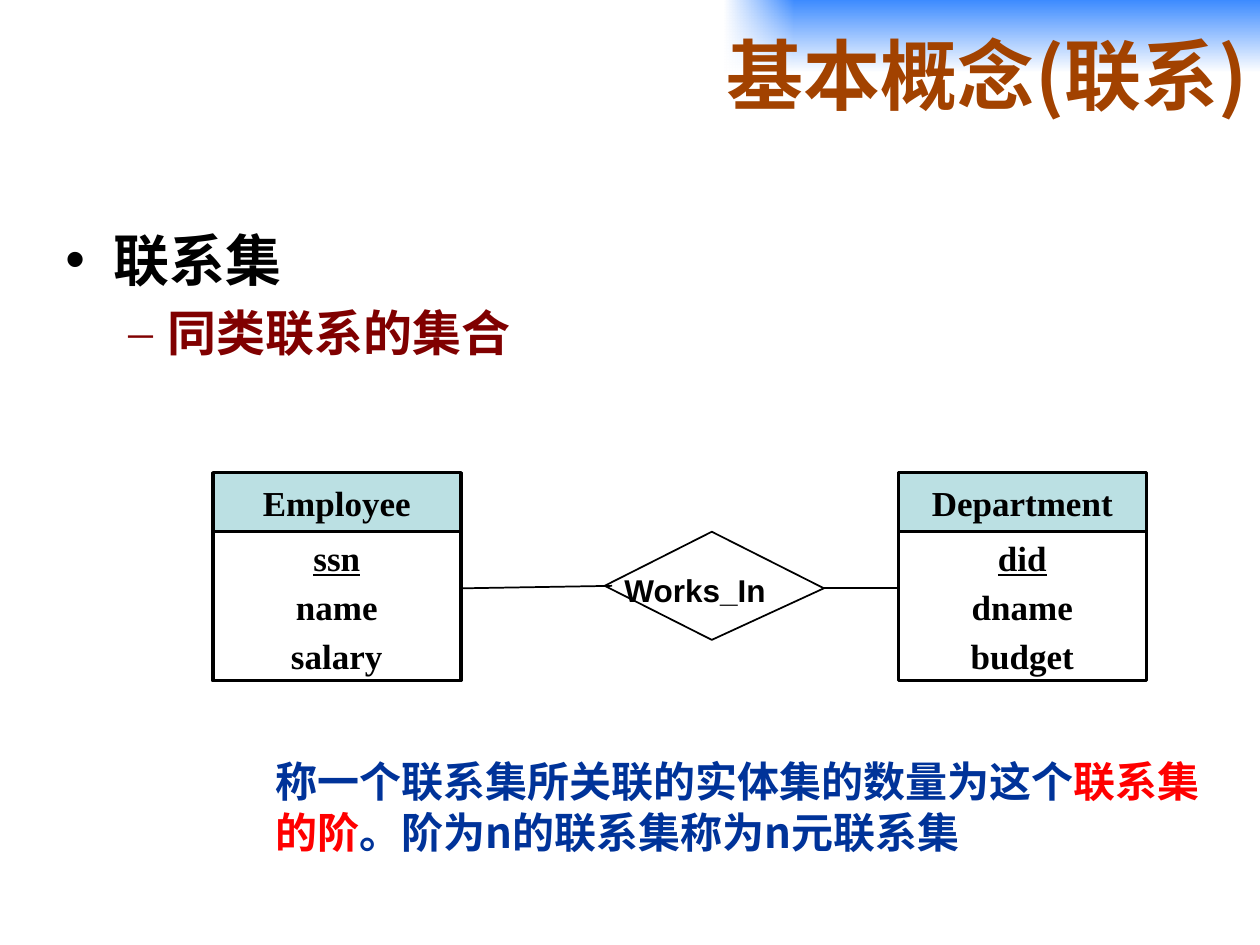
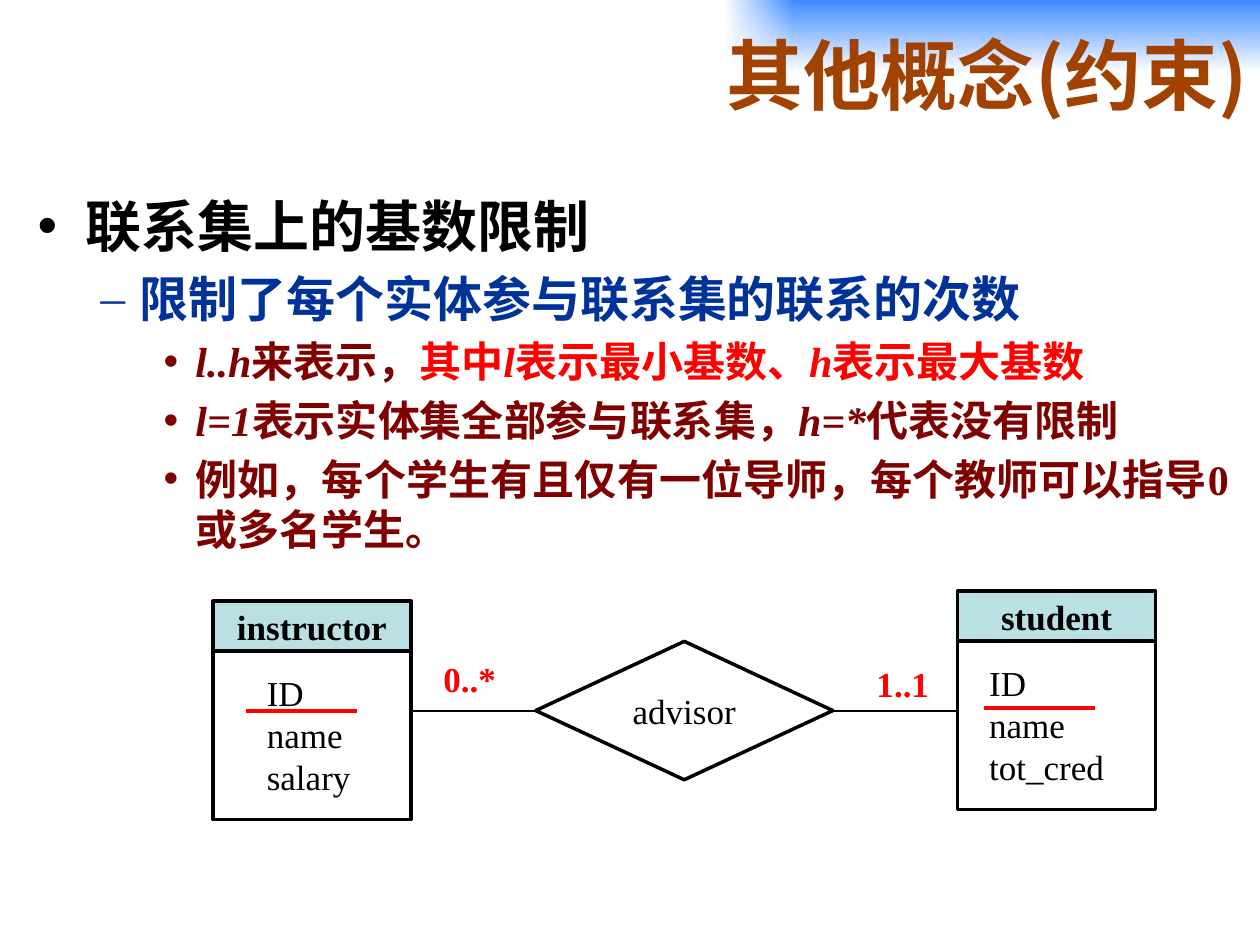
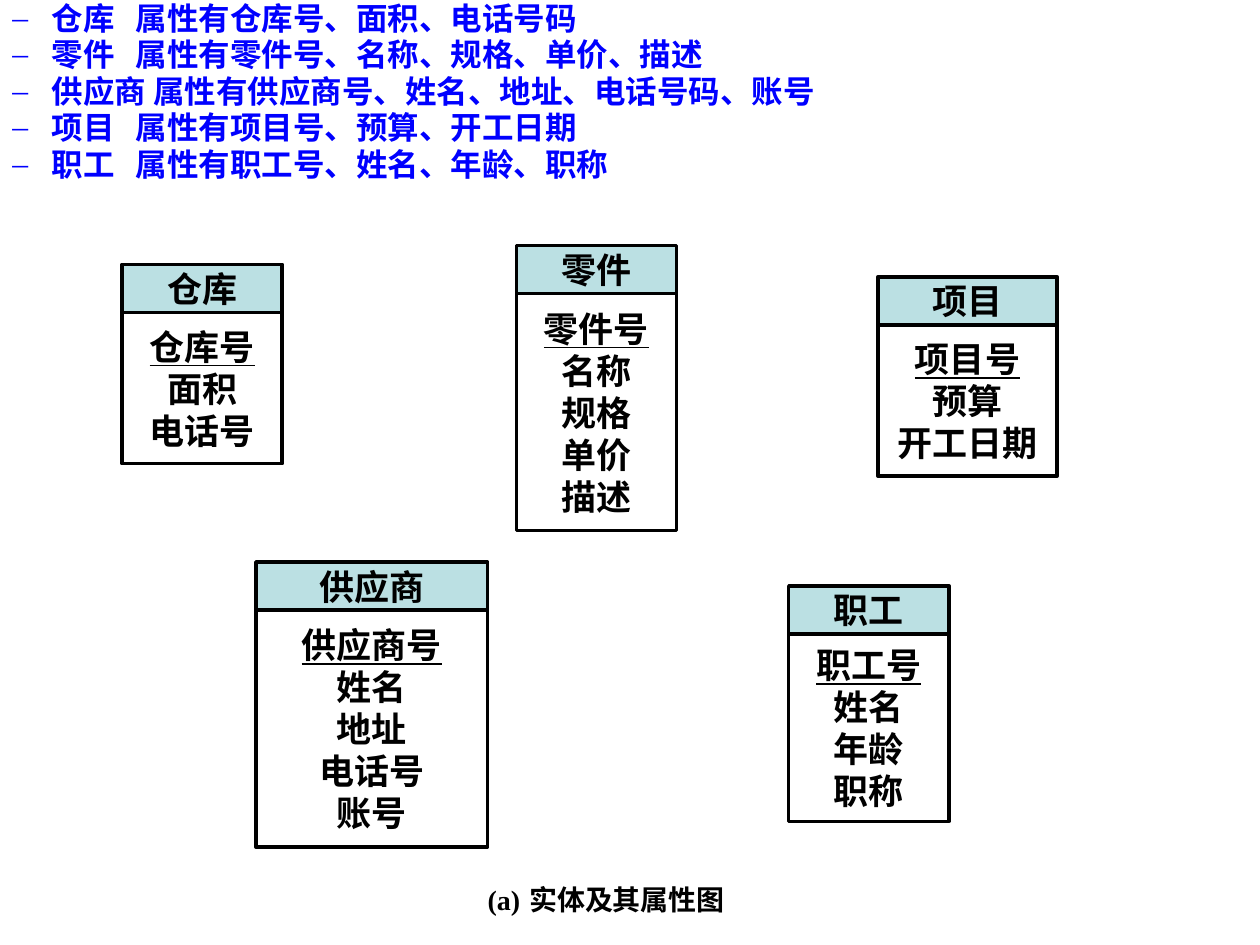
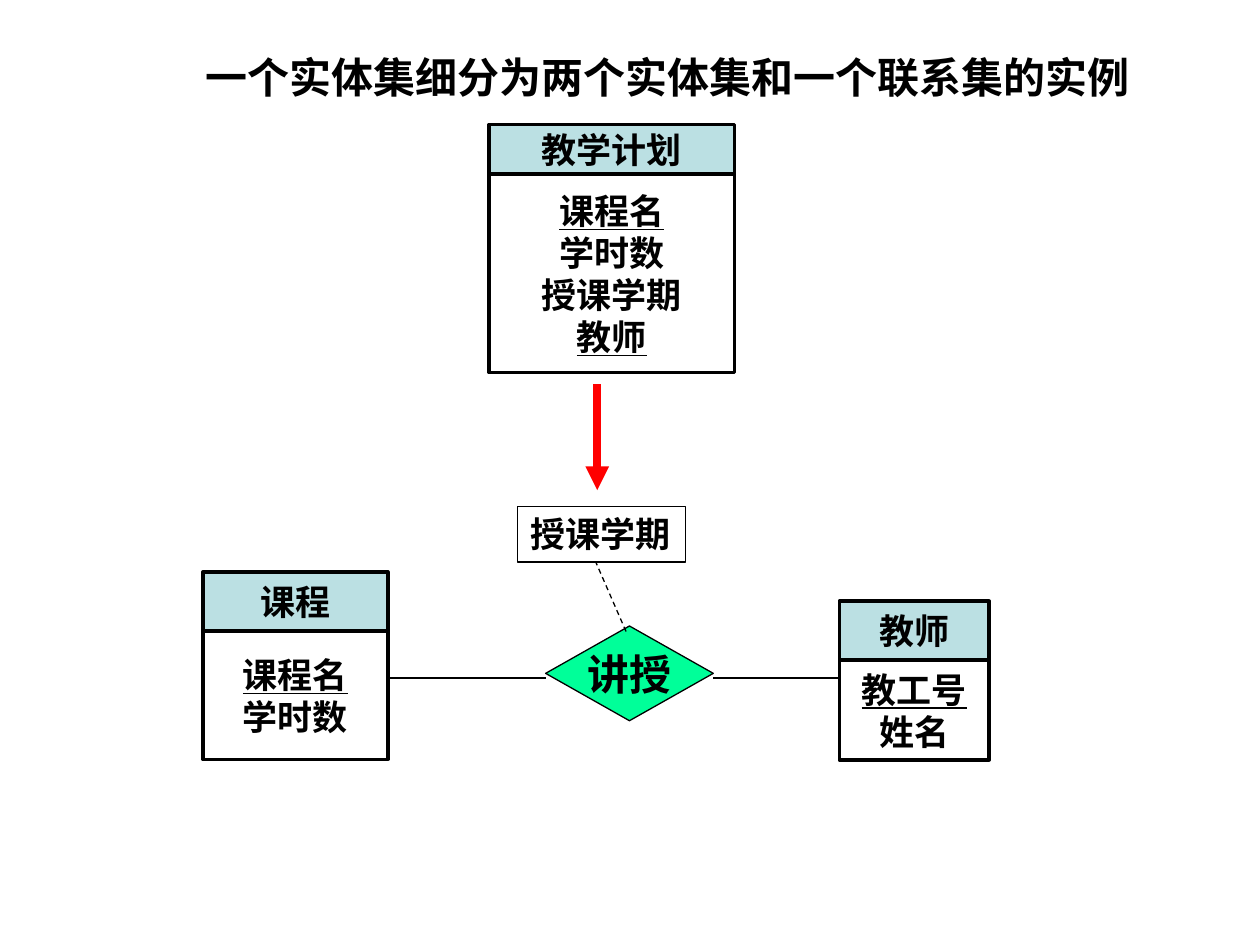
from dataclasses import dataclass, replace
from typing import Optional

from lxml import etree
from pptx import Presentation
from pptx.dml.color import RGBColor
from pptx.enum.dml import MSO_LINE
from pptx.enum.shapes import MSO_CONNECTOR, MSO_SHAPE
from pptx.enum.text import MSO_ANCHOR, PP_ALIGN
from pptx.oxml.ns import qn
from pptx.util import Cm, Pt

RECTANGLE = MSO_SHAPE.RECTANGLE
DECISION = MSO_SHAPE.FLOWCHART_DECISION
STRAIGHT = MSO_CONNECTOR.STRAIGHT
DASH = MSO_LINE.DASH
LEFT, CENTER = PP_ALIGN.LEFT, PP_ALIGN.CENTER
RIGHT, JUSTIFY = PP_ALIGN.RIGHT, PP_ALIGN.JUSTIFY
TOP, MIDDLE = MSO_ANCHOR.TOP, MSO_ANCHOR.MIDDLE


# Theme: colours, fonts, sizes and line widths
@dataclass(frozen=True)
class Theme:
    black: str = "000000"
    white: str = "FFFFFF"
    brown: str = "A24200"
    maroon: str = "800000"
    navy: str = "003399"
    blue: str = "0000FF"
    red: str = "FF0000"
    header: str = "BBE0E3"
    green: str = "00FF99"
    band: str = "3D8BFF"
    serif: str = "Times New Roman"
    sans: str = "Arial"
    lato: str = "Lato"
    chinese: str = "Noto Sans CJK SC"
    body: str = "Noto Sans CJK JP"
    title_size: int = 44
    topic_size: int = 32
    point_size: int = 28
    detail_size: int = 24
    entity_size: int = 20
    list_size: int = 18
    caption_size: int = 16
    pitch: float = 1.2
    before: float = 0.2
    thin: float = 0.75
    medium: float = 1
    frame: float = 2
    mark: float = 2.25
    arrow: float = 4.5


THEME = Theme()


@dataclass(frozen=True)
class Style:
    size: int
    color: str = THEME.black
    latin: str = THEME.serif
    asian: str = THEME.chinese
    bold: bool = True


@dataclass(frozen=True)
class Bullet:
    mark: str
    font: str
    margin: float
    hang: float


@dataclass(frozen=True)
class Span:
    text: str
    color: Optional[str] = None
    italic: bool = False
    underline: bool = False
    spacing: float = 0


@dataclass(frozen=True)
class Para:
    content: str | tuple[Span, ...]
    style: Style
    align: PP_ALIGN = LEFT
    bullet: Optional[Bullet] = None
    before: float = 0
    tight: float = 1


@dataclass(frozen=True)
class Box:
    left: float
    top: float
    width: float
    height: float


@dataclass(frozen=True)
class Entity:
    name: str
    left: float
    top: float
    width: float
    head: float
    body: float
    attributes: tuple[str, ...] = ()
    keys: tuple[str, ...] = ()
    before: float = 0


@dataclass(frozen=True)
class Link:
    start: tuple[float, float]
    end: tuple[float, float]
    width: float = THEME.thin
    color: str = THEME.black
    dashed: bool = False
    arrow: bool = False


TITLE = Style(THEME.title_size, THEME.brown, THEME.chinese)
TOPIC = Style(THEME.topic_size, latin=THEME.body, asian=THEME.body)
POINT = replace(TOPIC, size=THEME.point_size)
DETAIL = Style(THEME.detail_size, THEME.maroon, asian=THEME.body)
NOTE = Style(THEME.detail_size, THEME.navy, THEME.body, THEME.body)
ENTITY = Style(THEME.entity_size)
PLAIN = replace(ENTITY, bold=False)
CARDINALITY = replace(ENTITY, color=THEME.red)
LISTING = Style(THEME.list_size, THEME.blue, THEME.body, THEME.body)
CAPTION = Style(THEME.caption_size)

DOT = Bullet("•", THEME.sans, 0.97, 0.97)
LONG_DASH = Bullet("–", THEME.serif, 2.06, 0.79)
SMALL_DOT = Bullet("•", THEME.sans, 3.18, 0.64)
LIST_DASH = Bullet("–", THEME.serif, 0.79, 0.79)


# Text
def rgb(color: str) -> RGBColor:
    return RGBColor.from_string(color)


def add_bullet(paragraph, bullet: Bullet) -> None:
    properties = paragraph._p.get_or_add_pPr()
    properties.set("marL", str(Cm(bullet.margin)))
    properties.set("indent", str(-Cm(bullet.hang)))
    etree.SubElement(properties, qn("a:buFont"), typeface=bullet.font)
    etree.SubElement(properties, qn("a:buChar"), char=bullet.mark)


def set_font(font, style: Style) -> None:
    font.size = Pt(style.size)
    font.bold = style.bold
    font.color.rgb = rgb(style.color)
    font.name = style.latin
    etree.SubElement(font._element, qn("a:ea"), typeface=style.asian)


def write(shape, paras: list[Para], anchor=TOP, wrap=True,
          inset: tuple[float, float] = (0.25, 0.13)) -> None:
    frame = shape.text_frame
    frame.word_wrap = wrap
    frame.vertical_anchor = anchor
    frame.margin_left = frame.margin_right = Cm(inset[0])
    frame.margin_top = frame.margin_bottom = Cm(inset[1])
    for index, para in enumerate(paras):
        paragraph = frame.add_paragraph() if index else frame.paragraphs[0]
        paragraph.alignment = para.align
        size = para.style.size
        paragraph.line_spacing = Pt(size * THEME.pitch * para.tight)
        paragraph.space_before = Pt(size * para.before)
        if para.bullet:
            add_bullet(paragraph, para.bullet)
        set_font(paragraph.font, para.style)
        content = para.content
        spans = (Span(content),) if isinstance(content, str) else content
        for span in spans:
            run = paragraph.add_run()
            run.text = span.text
            if span.color:
                run.font.color.rgb = rgb(span.color)
            if span.italic:
                run.font.italic = True
            if span.underline:
                run.font.underline = True
            if span.spacing:
                run.font._element.set("spc", str(int(span.spacing * 100)))


def add_text(page, box: Box, paras: list[Para], **layout):
    shape = page.shapes.add_textbox(
        Cm(box.left), Cm(box.top), Cm(box.width), Cm(box.height))
    write(shape, paras, **layout)
    return shape


# Shapes and lines
def outline(shape, width: float) -> None:
    shape.line.color.rgb = rgb(THEME.black)
    shape.line.width = Pt(width)


def add_box(page, box: Box, fill: str, width: float, kind=RECTANGLE):
    shape = page.shapes.add_shape(
        kind, Cm(box.left), Cm(box.top), Cm(box.width), Cm(box.height))
    shape.shadow.inherit = False
    shape.fill.solid()
    shape.fill.fore_color.rgb = rgb(fill)
    outline(shape, width)
    return shape


def add_decision(page, box: Box, text: str, style: Style, fill: str,
                 width: float) -> None:
    shape = add_box(page, box, fill, width, DECISION)
    write(shape, [Para(text, style, CENTER)], anchor=MIDDLE, wrap=False,
          inset=(0, 0))


def add_entity(page, entity: Entity) -> None:
    def para(text: str) -> Para:
        span = Span(text, underline=text in entity.keys)
        return Para((span,), ENTITY, CENTER, before=entity.before)

    head = Box(entity.left, entity.top, entity.width, entity.head)
    body = Box(entity.left, entity.top + entity.head, entity.width, entity.body)
    for box, fill, texts in ((head, THEME.header, (entity.name,)),
                             (body, THEME.white, entity.attributes)):
        shape = add_box(page, box, fill, THEME.frame)
        write(shape, [para(text) for text in texts], anchor=MIDDLE,
              inset=(0.1, 0.1))


def add_link(page, link: Link) -> None:
    line = page.shapes.add_connector(
        STRAIGHT, *(Cm(value) for value in link.start + link.end))
    line.line.color.rgb = rgb(link.color)
    line.line.width = Pt(link.width)
    if link.dashed:
        line.line.dash_style = DASH
    if link.arrow:
        etree.SubElement(line.line._get_or_add_ln(), qn("a:tailEnd"),
                         type="triangle")
    etree.SubElement(line._element.spPr, qn("a:effectLst"))


def add_gradient(page, box: Box, colors: tuple[str, str], angle: int):
    shape = add_box(page, box, THEME.white, THEME.thin)
    shape.line.fill.background()
    shape.fill.gradient()
    shape.fill.gradient_angle = angle
    for stop, color in zip(shape.fill.gradient_stops, colors):
        stop.color.rgb = rgb(color)
    return shape


# Title with the corner band, shared by the concept slides
def add_title(page, text: str) -> None:
    add_gradient(page, Box(14.6, 0, 10.8, 1.47), (THEME.band, THEME.white), 270)
    fade = add_gradient(page, Box(14.6, 0, 1.4, 1.47),
                        (THEME.white, THEME.white), 0)
    last_color = list(fade._element.iter(qn("a:srgbClr")))[1]
    etree.SubElement(last_color, qn("a:alpha"), val="0")
    add_text(page, Box(3.71, 0, 21.69, 2.97), [Para(text, TITLE, RIGHT)],
             anchor=MIDDLE)


# Slide 1: relationship sets
def build_relationship(page) -> None:
    add_title(page, "基本概念(联系)")
    add_text(page, Box(1.07, 4.42, 21, 4), [
        Para("联系集", TOPIC, bullet=DOT, before=THEME.before),
        Para("同类联系的集合", replace(POINT, color=THEME.maroon),
             bullet=LONG_DASH, before=THEME.before),
    ])

    corners = [(Cm(x), Cm(y)) for x, y in (
        (12.19, 11.81), (14.35, 10.72), (16.61, 11.86), (14.35, 12.9))]
    builder = page.shapes.build_freeform(*corners[0])
    builder.add_line_segments(corners[1:], close=True)
    diamond = builder.convert_to_shape()
    diamond.shadow.inherit = False
    diamond.fill.background()
    outline(diamond, THEME.medium)
    add_text(page, Box(12.34, 11.38, 3.66, 1.02),
             [Para("Works_In", Style(THEME.list_size, latin=THEME.sans))],
             wrap=False)
    add_link(page, Link((12.34, 11.81), (9.3, 11.86), THEME.medium))
    add_link(page, Link((16.61, 11.86), (18.11, 11.86), THEME.medium))

    for name, left, attributes in (
            ("Employee", 4.29, ("ssn", "name", "salary")),
            ("Department", 18.11, ("did", "dname", "budget"))):
        add_entity(page, Entity(name, left, 9.53, 5, 1.19, 3, attributes,
                                attributes[:1], THEME.before))

    add_text(page, Box(5.31, 15.11, 19.41, 2.31), [Para((
        Span("称一个联系集所关联的实体集的数量为这个"),
        Span("联系集的阶", THEME.red),
        Span("。阶为n的联系集称为n元联系集"),
    ), NOTE)])


# Slide 2: cardinality constraints
def build_constraint(page) -> None:
    add_title(page, "其他概念(约束)")
    details = (
        (Span("l..h", italic=True), Span("来表示，"), Span("其中", THEME.red),
         Span("l", THEME.red, italic=True), Span("表示最小基数、", THEME.red),
         Span("h", THEME.red, italic=True), Span("表示最大基数", THEME.red)),
        (Span("l=1", italic=True), Span("表示实体集全部参与联系集，"),
         Span("h=*", italic=True), Span("代表没有限制")),
        "例如，每个学生有且仅有一位导师，每个教师可以指导0或多名学生。",
    )
    add_text(page, Box(0.51, 3.73, 24.51, 12.57), [
        Para("联系集上的基数限制", TOPIC, bullet=DOT, before=THEME.before),
        Para("限制了每个实体参与联系集的联系的次数",
             replace(POINT, color=THEME.navy), JUSTIFY, LONG_DASH, THEME.before),
        *(Para(detail, DETAIL, JUSTIFY, SMALL_DOT, THEME.before)
          for detail in details),
    ])

    add_entity(page, Entity("instructor", 4.29, 12.12, 4, 1, 3.4))
    add_entity(page, Entity("student", 19.3, 11.92, 4, 1, 3.4))
    add_decision(page, Box(10.8, 12.93, 5.99, 2.79), "advisor", PLAIN,
                 THEME.white, THEME.frame)
    for left, top, names in ((5.13, 13.41, ("ID", "name", "salary")),
                             (19.69, 13.21, ("ID", "name", "tot_cred"))):
        add_text(page, Box(left, top, 3, 2.82),
                 [Para(name, PLAIN) for name in names])
    for left, top, text in ((8.69, 13.13, "0..*"), (17.42, 13.23, "1..1")):
        add_text(page, Box(left, top, 1.7, 1.12), [Para(text, CARDINALITY)],
                 wrap=False)
    for link in (
            Link((8.29, 14.33), (10.8, 14.33)),
            Link((16.69, 14.33), (19.3, 14.33)),
            Link((4.95, 14.33), (7.19, 14.33), THEME.mark, THEME.red),
            Link((19.84, 14.27), (22.07, 14.27), THEME.mark, THEME.red)):
        add_link(page, link)


# Slide 3: entities and their attributes
def build_entities(page) -> None:
    rows = (
        ("仓库", 8, "属性有仓库号、面积、电话号码"),
        ("零件", 8, "属性有零件号、名称、规格、单价、描述"),
        ("供应商", 0, "属性有供应商号、姓名、地址、电话号码、账号"),
        ("项目", 8, "属性有项目号、预算、开工日期"),
        ("职工", 8, "属性有职工号、姓名、年龄、职称"),
    )
    add_text(page, Box(0, 0, 17.5, 4.39), [
        Para((Span(name), Span(" ", spacing=gap), Span(text)), LISTING,
             bullet=LIST_DASH, before=THEME.before, tight=0.8)
        for name, gap, text in rows])

    for name, left, top, width, body, attributes in (
            ("仓库", 2.46, 5.33, 3.23, 3.05, ("仓库号", "面积", "电话号")),
            ("供应商", 5.16, 11.33, 4.67, 4.78,
             ("供应商号", "姓名", "地址", "电话号", "账号")),
            ("项目", 17.7, 5.58, 3.61, 3.05, ("项目号", "预算", "开工日期")),
            ("零件", 10.41, 4.95, 3.23, 4.78,
             ("零件号", "名称", "规格", "单价", "描述")),
            ("职工", 15.9, 11.81, 3.23, 3.78,
             ("职工号", "姓名", "年龄", "职称"))):
        add_entity(page, Entity(name, left, top, width, 0.97, body, attributes,
                                attributes[:1]))

    for left, width, text in ((9.83, 0.66, "(a)"),
                              (10.67, 4.01, "实体及其属性图")):
        add_text(page, Box(left, 17.8, width, 0.69), [Para(text, CAPTION)],
                 wrap=False, inset=(0, 0))


# Slide 4: splitting one entity set
def build_split(page) -> None:
    add_text(page, Box(3.89, 0.91, 19.48, 1.27), [
        Para("一个实体集细分为两个实体集和一个联系集的实例",
             replace(NOTE, color=THEME.black))])
    add_link(page, Link((12.04, 7.75), (12.04, 9.88), THEME.arrow, THEME.red,
                        arrow=True))
    add_decision(page, Box(11, 12.62, 3.38, 1.91), "讲授",
                 Style(THEME.detail_size, latin=THEME.lato), THEME.green,
                 THEME.thin)
    for link in (
            Link((7.82, 13.67), (11, 13.67)),
            Link((14.38, 13.67), (16.92, 13.67)),
            Link((12.62, 12.73), (12.01, 11.33), dashed=True)):
        add_link(page, link)
    for entity in (
            Entity("教学计划", 9.86, 2.51, 4.95, 1, 4,
                   ("课程名", "学时数", "授课学期", "教师"), ("课程名", "教师")),
            Entity("课程", 4.09, 11.53, 3.73, 1.19, 2.59,
                   ("课程名", "学时数"), ("课程名",)),
            Entity("教师", 16.92, 12.12, 3.02, 1.19, 2.01,
                   ("教工号", "姓名"), ("教工号",))):
        add_entity(page, entity)
    term = add_text(page, Box(10.44, 10.21, 3.38, 1.12),
                    [Para("授课学期", replace(ENTITY, latin=THEME.chinese))],
                    wrap=False)
    outline(term, THEME.thin)


def main() -> None:
    deck = Presentation()
    deck.slide_width, deck.slide_height = Cm(25.4), Cm(19.05)
    blank = deck.slide_layouts[6]
    for build in (build_relationship, build_constraint, build_entities,
                  build_split):
        build(deck.slides.add_slide(blank))
    deck.save("out.pptx")


if __name__ == "__main__":
    main()
